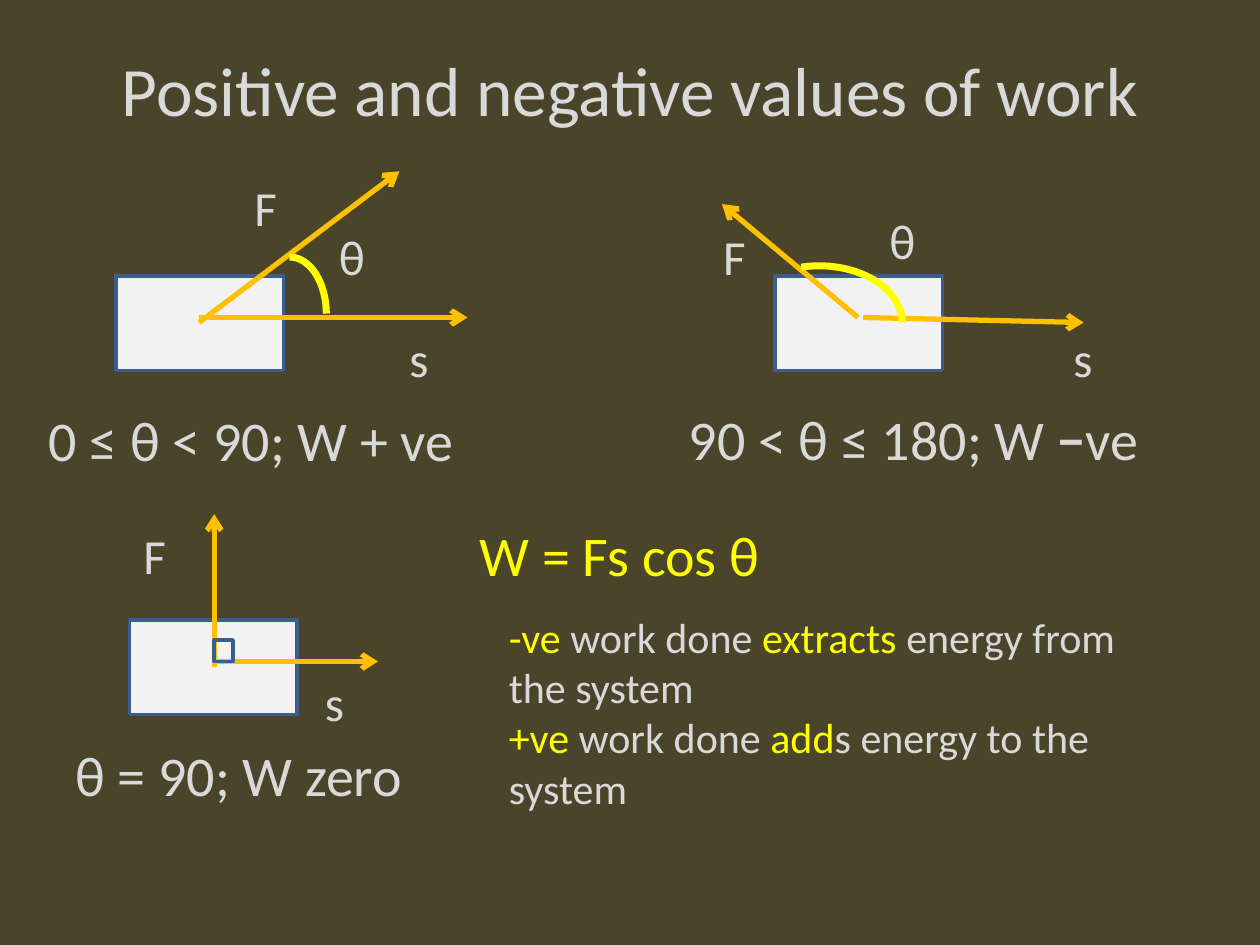
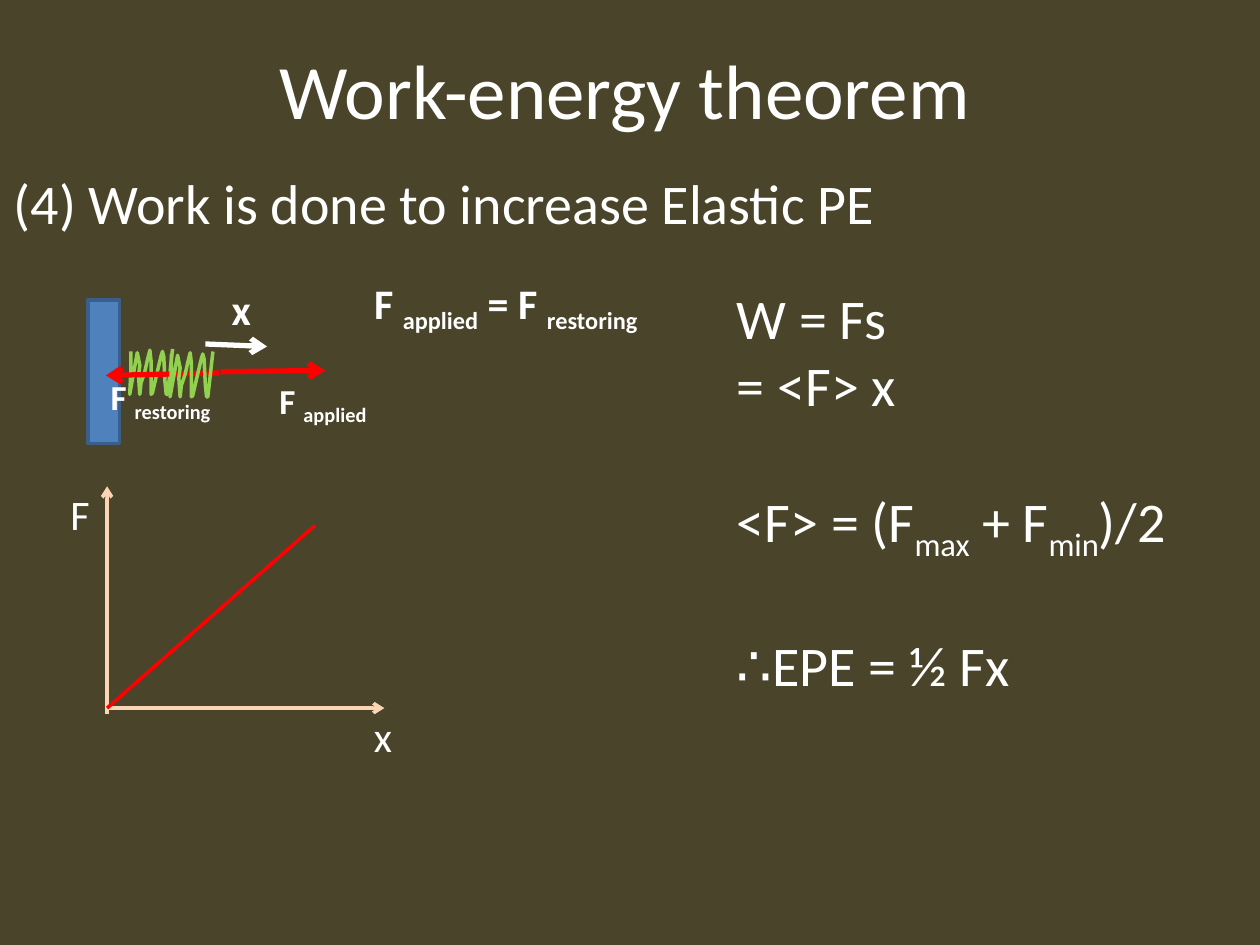
from lxml import etree
from pptx import Presentation
from pptx.dml.color import RGBColor
from pptx.enum.shapes import MSO_CONNECTOR as Connector, MSO_SHAPE as Preset
from pptx.enum.text import MSO_ANCHOR as Anchor, PP_ALIGN as Align
from pptx.oxml.ns import qn
from pptx.util import Inches, Pt

FONT = "Calibri"
OLIVE = RGBColor(0x4A, 0x45, 0x2A)
WHITE = RGBColor(0xFF, 0xFF, 0xFF)
SILVER = RGBColor(0xD9, 0xD9, 0xD9)
PALE = RGBColor(0xF2, 0xF2, 0xF2)
YELLOW = RGBColor(0xFF, 0xFF, 0x00)
AMBER = RGBColor(0xFF, 0xC0, 0x00)
RED = RGBColor(0xFF, 0x00, 0x00)
GREEN = RGBColor(0x92, 0xD0, 0x50)
PEACH = RGBColor(0xFC, 0xD5, 0xB5)
BLUE = RGBColor(0x4F, 0x81, 0xBD)
NAVY = RGBColor(0x3A, 0x5F, 0x8C)

BLOCK_SIZE = (1.33, 0.75)
LABEL_HEIGHT = 0.57
LABEL_WIDTHS = {"F": 0.38, "s": 0.36, "θ": 0.41}

WORK_CASES = [
    {
        "block": (0.92, 2.19),
        "arrows": [((1.58, 2.56), (3.17, 1.36)), ((1.58, 2.52), (3.71, 2.52))],
        "labels": [("F", 1.92, 1.36), ("s", 3.15, 2.56), ("θ", 2.59, 1.75)],
        "arc": ((2.01, 2.04, 0.58, 0.9), 270),
        "caption": ("0 ≤ θ < 90; W + ve",),
        "caption_box": (0.29, 3.17, 5, 0.75),
    },
    {
        "block": (6.15, 2.19),
        "arrows": [((6.81, 2.52), (5.73, 1.62)), ((6.85, 2.52), (8.6, 2.56))],
        "labels": [("F", 5.64, 1.75), ("s", 8.42, 2.56), ("θ", 6.96, 1.62)],
        "arc": ((5.84, 2.11, 1.32, 0.9), 252.2),
        "caption": ("90 < θ ≤ 180; W ", ("−", "bold"), "ve"),
        "caption_box": (5.37, 3.16, 4.13, 0.92),
    },
    {
        "block": (1.03, 4.92),
        "arrows": [((1.7, 5.29), (1.7, 4.08)), ((1.7, 5.25), (3, 5.25))],
        "labels": [("F", 1.04, 4.12), ("s", 2.48, 5.29)],
        "right_angle": (1.7, 5.08, 0.15, 0.17),
        "caption": ("θ = 90; W zero",),
        "caption_box": (0.5, 5.83, 2.85, 0.75),
    },
]
ENERGY_NOTES = [
    (("-ve ", "accent"), "work done ", ("extracts", "accent"),
     " energy from the system"),
    (("+ve ", "accent"), "work done ", ("add", "accent"),
     "s energy to the system"),
]

EPE_STEPS = [
    ("W = Fs",),
    ("= <F> x",),
    ("<F> = (F", ("max", "sub"), " + F", ("min", "sub"), ")/2"),
    ("∴EPE = ½ Fx",),
]
STEP_GAPS = [0, 0, 39, 39]
FORCE_BALANCE = ("F ", ("applied", "sub"), " = F ", ("restoring", "sub"))
APPLIED = ("F ", ("applied", "sub"))
RESTORING = ("F ", ("restoring", "sub"))
GRAPH_ORIGIN = (0.85, 5.62)
GRAPH_LABELS = [("F", 0.46, 3.83), ("x", 2.87, 5.59)]
COIL = [
    (137, 277), (133, 313), (132, 313), (131, 303), (130, 283), (129, 279),
    (128, 282), (124, 299), (121, 312), (120, 313), (120, 287), (119, 278),
    (117, 286), (115, 295), (112, 304), (111, 313), (110, 298), (111, 290),
    (109, 280), (107, 291), (103, 313), (104, 293), (104, 279),
]
COIL_STEP = (32, 2)


def write(slide, box, paragraphs, size, color, bold=False, wrap=False, gaps=None):
    frame = slide.shapes.add_textbox(*map(Inches, box)).text_frame
    frame.word_wrap = wrap
    for index, pieces in enumerate(paragraphs):
        paragraph = frame.add_paragraph() if index else frame.paragraphs[0]
        if gaps:
            paragraph.space_before = Pt(gaps[index])
        for piece in pieces:
            words, mark = (piece, None) if isinstance(piece, str) else piece
            run = paragraph.add_run()
            run.text = words
            run.font.name = FONT
            run.font.size = Pt(size)
            run.font.bold = bold or mark == "bold"
            run.font.color.rgb = YELLOW if mark == "accent" else color
            if mark == "sub":
                run.font._element.set("baseline", "-25000")
    return frame


def outline(shape, color, width, fill=None):
    shape.shadow.inherit = False
    shape.line.color.rgb = color
    shape.line.width = Pt(width)
    if fill is None:
        shape.fill.background()
    else:
        shape.fill.solid()
        shape.fill.fore_color.rgb = fill


def draw_shape(slide, preset, box, color, width, fill=None):
    shape = slide.shapes.add_shape(preset, *map(Inches, box))
    outline(shape, color, width, fill)
    return shape


def draw_line(slide, start, end, color, width, arrow=True):
    line = slide.shapes.add_connector(
        Connector.STRAIGHT, *map(Inches, (*start, *end)))
    line.line.color.rgb = color
    line.line.width = Pt(width)
    if arrow:
        head = etree.SubElement(line.line._get_or_add_ln(), qn("a:tailEnd"))
        head.set("type", "arrow")
    etree.SubElement(line._element.spPr, qn("a:effectLst"))


def draw_coil(slide, turn):
    dx, dy = (step * turn for step in COIL_STEP)
    points = [(x + dx, y + dy) for x, y in COIL]
    builder = slide.shapes.build_freeform(*points[0], scale=Inches(0.01))
    builder.add_line_segments(points[1:], close=False)
    outline(builder.convert_to_shape(), GREEN, 2)


def new_slide(deck, title, left, size, color):
    slide = deck.slides.add_slide(deck.slide_layouts[6])
    slide.background.fill.solid()
    slide.background.fill.fore_color.rgb = OLIVE
    frame = write(slide, (left, 0.08, 9, 1.25), [(title,)], size, color, wrap=True)
    frame.vertical_anchor = Anchor.MIDDLE
    frame.paragraphs[0].alignment = Align.CENTER
    return slide


def draw_case(slide, case):
    draw_shape(slide, Preset.RECTANGLE, (*case["block"], *BLOCK_SIZE), NAVY, 2, PALE)
    for start, end in case["arrows"]:
        draw_line(slide, start, end, AMBER, 3)
    for symbol, x, y in case["labels"]:
        box = (x, y, LABEL_WIDTHS[symbol], LABEL_HEIGHT)
        write(slide, box, [(symbol,)], 28, SILVER)
    if "arc" in case:
        box, start_angle = case["arc"]
        arc = draw_shape(slide, Preset.ARC, box, YELLOW, 4)
        arc.adjustments[0] = start_angle * 0.6
        arc.adjustments[1] = 0
    if "right_angle" in case:
        draw_shape(slide, Preset.RECTANGLE, case["right_angle"], NAVY, 2)
    write(slide, case["caption_box"], [case["caption"]], 32, SILVER, wrap=True)


def build_work_signs(deck):
    slide = new_slide(deck, "Positive and negative values of work", 0.5, 39.6, SILVER)
    for case in WORK_CASES:
        draw_case(slide, case)
    write(slide, (3.71, 4.08, 2.44, 0.64), [("W = Fs cos θ",)], 32, YELLOW)
    write(slide, (3.94, 4.8, 5.12, 2.12), ENERGY_NOTES, 24, SILVER, wrap=True)


def build_elastic_energy(deck):
    slide = new_slide(deck, "Work-energy theorem ", 0.53, 44, WHITE)
    write(slide, (0.01, 1.29, 8.38, 0.92),
          [("(4) Work is done to increase Elastic PE",)], 32, WHITE, wrap=True)
    write(slide, (5.75, 2.2, 3.78, 3.33), EPE_STEPS, 32, WHITE, gaps=STEP_GAPS)

    draw_shape(slide, Preset.RECTANGLE, (0.7, 2.38, 0.25, 1.14), NAVY, 2, BLUE)
    draw_line(slide, (1.63, 2.73), (2.12, 2.75), WHITE, 3)
    write(slide, (1.74, 2.2, 0.36, 0.5), [("x",)], 24, WHITE, bold=True)
    draw_line(slide, (1.75, 2.95), (2.58, 2.94), RED, 3)
    write(slide, (2.12, 2.96, 0.97, 0.44), [APPLIED], 20, WHITE, bold=True)
    draw_coil(slide, 0)
    draw_line(slide, (1.74, 2.96), (0.84, 2.98), RED, 3)
    write(slide, (0.78, 2.93, 1.09, 0.44), [RESTORING], 20, WHITE, bold=True)
    write(slide, (2.87, 2.15, 2.51, 0.77), [FORCE_BALANCE], 24, WHITE, bold=True)
    draw_coil(slide, 1)

    draw_line(slide, (0.85, 5.67), (0.85, 3.86), PEACH, 2)
    draw_line(slide, GRAPH_ORIGIN, (3.05, 5.62), PEACH, 2)
    draw_line(slide, GRAPH_ORIGIN, (2.5, 4.17), RED, 2, arrow=False)
    for symbol, x, y in GRAPH_LABELS:
        write(slide, (x, y, 0.36, 0.5), [(symbol,)], 24, WHITE)


def main():
    deck = Presentation()
    deck.slide_width, deck.slide_height = Inches(10), Inches(7.5)
    build_work_signs(deck)
    build_elastic_energy(deck)
    deck.save("out.pptx")


if __name__ == "__main__":
    main()
